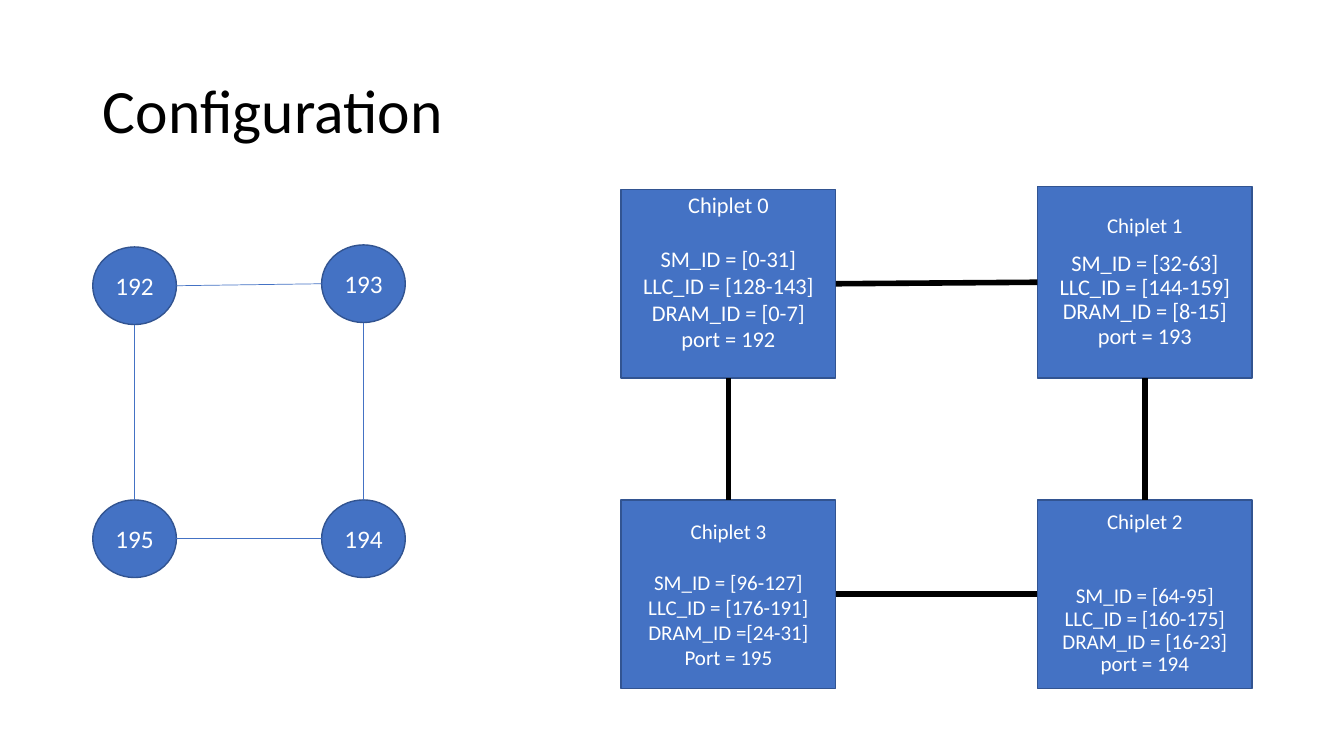
from pptx import Presentation
from pptx.dml.color import RGBColor
from pptx.enum.shapes import MSO_CONNECTOR, MSO_SHAPE
from pptx.enum.text import MSO_ANCHOR, PP_ALIGN
from pptx.oxml.ns import qn
from pptx.util import Inches, Pt

STRAIGHT = MSO_CONNECTOR.STRAIGHT
RECTANGLE, OVAL = MSO_SHAPE.RECTANGLE, MSO_SHAPE.OVAL
MIDDLE = MSO_ANCHOR.MIDDLE
CENTER, LEFT = PP_ALIGN.CENTER, PP_ALIGN.LEFT

FONT = "Calibri"
COLORS = {"fill": "4472C4", "edge": "325491", "white": "FFFFFF", "black": "000000"}

TITLE = "Configuration"
# Rings run clockwise from the top left.
ROUTERS = [
    {"box": (0.92, 2.45, 0.83, 0.77), "heading": "192"},
    {"box": (3.19, 2.43, 0.83, 0.77), "heading": "193"},
    {"box": (3.19, 4.96, 0.83, 0.77), "heading": "194"},
    {"box": (0.92, 4.96, 0.83, 0.77), "heading": "195"},
]
CHIPLETS = [
    {"box": (6.16, 1.88, 2.13, 1.87), "heading": "Chiplet 0",
     "details": ["SM_ID = [0-31]", "LLC_ID = [128-143]", "DRAM_ID = [0-7]", "port = 192"],
     "sizes": (16, 16), "gap": 19.5, "spacing": 1, "bottom": 0.29},
    {"box": (10.29, 1.85, 2.13, 1.9), "heading": "Chiplet 1",
     "details": ["SM_ID = [32-63]", "LLC_ID = [144-159]", "DRAM_ID = [8-15]", "port = 193"],
     "sizes": (15, 16), "gap": 10, "spacing": 0.9},
    {"box": (10.29, 4.96, 2.13, 1.87), "heading": "Chiplet 2",
     "details": ["SM_ID = [64-95]", "LLC_ID = [160-175]", "DRAM_ID = [16-23]", "port = 194"],
     "sizes": (15, 15), "gap": 36.5, "spacing": 0.9},
    {"box": (6.16, 4.96, 2.13, 1.87), "heading": "Chiplet 3",
     "details": ["SM_ID = [96-127]", "LLC_ID = [176-191]", "DRAM_ID =[24-31]", "Port = 195"],
     "sizes": (15, 15), "gap": 18.5, "spacing": 1},
]
RING_SIDES = [("right", "left"), ("bottom", "top"), ("left", "right"), ("top", "bottom")]


def color(name):
    return RGBColor.from_string(COLORS[name])


def style(paragraph, size, tint, align=CENTER, spacing=1):
    paragraph.alignment = align
    paragraph.line_spacing = spacing
    paragraph.font.name = FONT
    paragraph.font.size = Pt(size)
    paragraph.font.color.rgb = color(tint)


def add_node(slide, node, outline):
    shape = slide.shapes.add_shape(outline, *map(Inches, node["box"]))
    shape.shadow.inherit = False
    shape.fill.solid()
    shape.fill.fore_color.rgb = color("fill")
    shape.line.color.rgb = color("edge")
    shape.line.width = Pt(1)
    frame = shape.text_frame
    frame.word_wrap = True
    frame.vertical_anchor = MIDDLE
    frame.margin_bottom = Inches(node.get("bottom", 0.05))
    heading_size, detail_size = node.get("sizes", (18, 18))
    spacing = node.get("spacing", 1)
    heading = frame.paragraphs[0]
    heading.text = node["heading"]
    style(heading, heading_size, "white", spacing=spacing)
    for index, detail in enumerate(node.get("details", [])):
        line = frame.add_paragraph()
        line.text = detail
        line.space_before = Pt(0 if index else node["gap"])
        style(line, detail_size, "white", spacing=spacing)


def side_point(box, side):
    left, top, width, height = box
    across, down = {"left": (0, 0.5), "right": (1, 0.5),
                    "top": (0.5, 0), "bottom": (0.5, 1)}[side]
    return Inches(left + across * width), Inches(top + down * height)


def add_ring(slide, nodes, outline, tint, weight):
    for node in nodes:
        add_node(slide, node, outline)
    for node, following, (start, end) in zip(nodes, nodes[1:] + nodes[:1], RING_SIDES):
        link = slide.shapes.add_connector(
            STRAIGHT, *side_point(node["box"], start), *side_point(following["box"], end))
        link.line.color.rgb = color(tint)
        link.line.width = Pt(weight)
        properties = link._element.spPr
        properties.append(properties.makeelement(qn("a:effectLst"), {}))


def main():
    deck = Presentation()
    deck.slide_width, deck.slide_height = Inches(13.33), Inches(7.5)
    slide = deck.slides.add_slide(deck.slide_layouts[5])
    title = slide.shapes.title
    title.left, title.top, title.width, title.height = map(Inches, (0.92, 0.4, 11.5, 1.45))
    title.text_frame.text = TITLE
    title.text_frame.vertical_anchor = MIDDLE
    style(title.text_frame.paragraphs[0], 44, "black", LEFT, 0.9)
    add_ring(slide, CHIPLETS, RECTANGLE, "black", 4)
    add_ring(slide, ROUTERS, OVAL, "fill", 0.5)
    deck.save("out.pptx")


if __name__ == "__main__":
    main()
